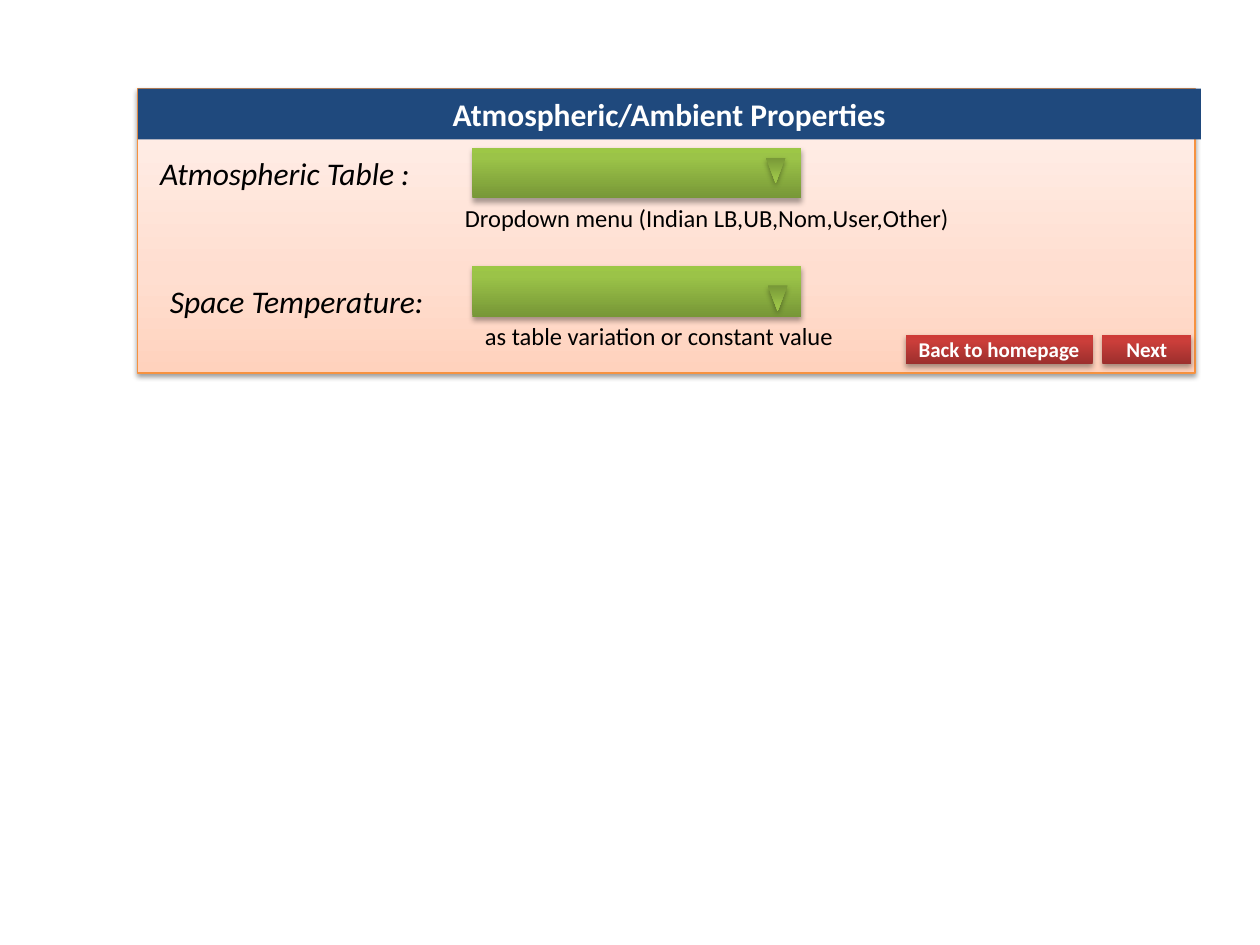
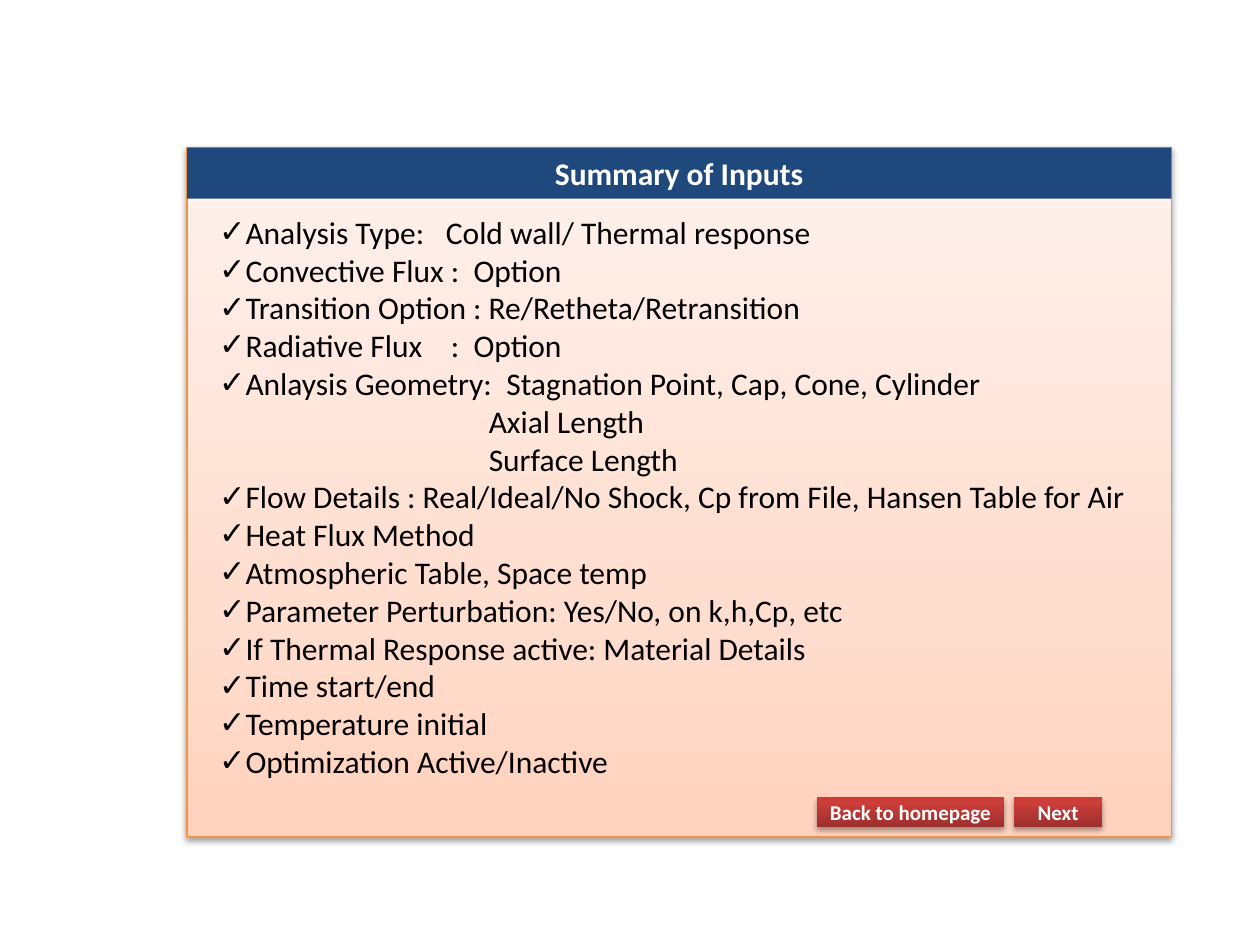
from copy import deepcopy
from dataclasses import dataclass

from lxml import etree
from pptx import Presentation
from pptx.dml.color import RGBColor
from pptx.enum.shapes import MSO_SHAPE
from pptx.enum.text import MSO_ANCHOR, MSO_AUTO_SIZE, PP_ALIGN
from pptx.oxml.ns import qn
from pptx.util import Inches, Pt

RECTANGLE = MSO_SHAPE.RECTANGLE
TRIANGLE = MSO_SHAPE.ISOSCELES_TRIANGLE
CENTER, LEFT = PP_ALIGN.CENTER, PP_ALIGN.LEFT
MIDDLE, TOP = MSO_ANCHOR.MIDDLE, MSO_ANCHOR.TOP
GROW, FIXED = MSO_AUTO_SIZE.SHAPE_TO_FIT_TEXT, MSO_AUTO_SIZE.NONE

COLUMNS, ROWS = 128, 96
BAND_ROWS = 5.17
LINE_ROWS = 4.34
BUTTON_ROWS = 3
TITLE_ONLY = 5


@dataclass(frozen=True)
class Theme:
    font: str = "Calibri"
    body_size: int = 18
    hint_size: int = 14
    button_size: int = 12
    text: str = "000000"
    light_text: str = "FFFFFF"
    band: str = "1F497D"
    panel_line: str = "F69240"
    panel: tuple = ((0, "FFD2BD"), (0.35, "FFDED0"), (1, "FFF2ED"))
    dropdown: tuple = ((0, "779737"), (0.8, "9BC348"), (1, "9DC746"))
    button: tuple = ((0, "9C2F2D"), (0.8, "CB3E3A"), (1, "CE3B37"))


class FormBuilder:
    def __init__(self, presentation, theme):
        self.presentation = presentation
        self.theme = theme
        self.slide = None

    def new_slide(self):
        layout = self.presentation.slide_layouts[TITLE_ONLY]
        self.slide = self.presentation.slides.add_slide(layout)

    def place(self, column, row, columns, rows):
        width, height = self.presentation.slide_width, self.presentation.slide_height
        return (round(width * column / COLUMNS), round(height * row / ROWS),
                round(width * columns / COLUMNS), round(height * rows / ROWS))

    def set_text(self, shape, lines, size, color, bold=False, italic=False,
                 align=LEFT, anchor=TOP):
        frame = shape.text_frame
        frame.text = "\n".join(lines)
        frame.vertical_anchor = anchor
        for paragraph in frame.paragraphs:
            paragraph.alignment = align
            for run in paragraph.runs:
                font = run.font
                font.name, font.size = self.theme.font, Pt(size)
                font.bold, font.italic = bold, italic
                font.color.rgb = RGBColor.from_string(color)
        return frame

    def gradient_shape(self, kind, box, stops, shadow_alpha=35, shadow_distance=1.8):
        shape = self.slide.shapes.add_shape(kind, *self.place(*box))
        shape.fill.gradient()
        shape.fill.gradient_angle = 90
        stop_list = shape.element.find(".//" + qn("a:gsLst"))
        stop_list.append(deepcopy(stop_list[0]))
        for stop, (position, color) in zip(shape.fill.gradient_stops, stops):
            stop.position = position
            stop.color.rgb = RGBColor.from_string(color)
        shape.line.fill.background()
        shape.shadow.inherit = False
        effects = shape.element.spPr.find(qn("a:effectLst"))
        shadow = etree.SubElement(
            effects, qn("a:outerShdw"), blurRad=str(Pt(3.1)),
            dist=str(Pt(shadow_distance)), dir="5400000", rotWithShape="0")
        color = etree.SubElement(shadow, qn("a:srgbClr"), val="000000")
        etree.SubElement(color, qn("a:alpha"), val=str(shadow_alpha * 1000))
        return shape

    def panel(self, column, row, columns, rows):
        panel = self.gradient_shape(RECTANGLE, (column, row, columns, rows),
                                    self.theme.panel, 38, 1.6)
        panel.line.color.rgb = RGBColor.from_string(self.theme.panel_line)
        panel.line.width = Pt(0.75)

    def title(self, text, column, row, columns):
        title = self.slide.shapes.title
        title.left, title.top, title.width, title.height = self.place(
            column, row, columns, BAND_ROWS)
        title.fill.solid()
        title.fill.fore_color.rgb = RGBColor.from_string(self.theme.band)
        frame = self.set_text(title, [text], self.theme.body_size,
                              self.theme.light_text, bold=True, align=CENTER)
        frame.auto_size = FIXED
        self.slide.shapes.element.append(title.element)

    def text(self, lines, box, size, italic=False, wrap=True):
        shape = self.slide.shapes.add_textbox(*self.place(*box))
        frame = self.set_text(shape, lines, size, self.theme.text, italic=italic)
        frame.word_wrap = wrap
        frame.auto_size = GROW
        return frame

    def label(self, text, column, row, columns):
        self.text([text], (column, row, columns, BAND_ROWS),
                  self.theme.body_size, italic=True)

    def hint(self, text, column, row, columns, indent=0, wrap=True):
        frame = self.text([text], (column, row, columns, LINE_ROWS),
                          self.theme.hint_size, wrap=wrap)
        self.indent(frame.paragraphs[0], indent)

    def indent(self, paragraph, inches):
        properties = paragraph._p.get_or_add_pPr()
        properties.set("marL", str(Inches(inches)))
        properties.set("indent", "0")

    def dropdown(self, column, row, arrow_column, arrow_row):
        self.gradient_shape(RECTANGLE, (column, row, 33.4, BAND_ROWS), self.theme.dropdown)
        arrow = self.gradient_shape(TRIANGLE, (arrow_column, arrow_row, 2, 2.6),
                                    self.theme.dropdown)
        arrow.rotation = 180

    def navigation(self, column, row):
        for text, offset, columns in (("Back to homepage", 0, 19), ("Next", 20, 9)):
            button = self.gradient_shape(
                RECTANGLE, (column + offset, row, columns, BUTTON_ROWS), self.theme.button)
            frame = self.set_text(button, [text], self.theme.button_size,
                                  self.theme.light_text, bold=True,
                                  align=CENTER, anchor=MIDDLE)
            frame.margin_left = frame.margin_right = 0
            frame.margin_top = frame.margin_bottom = 0

    def checklist(self, items, box):
        frame = self.text([text for text, *_ in items], box, self.theme.body_size)
        for paragraph, (_, checked, indent, tabs) in zip(frame.paragraphs, items):
            self.indent(paragraph, indent)
            properties = paragraph._p.get_or_add_pPr()
            if checked:
                etree.SubElement(properties, qn("a:buFont"), typeface=self.theme.font)
                etree.SubElement(properties, qn("a:buChar"), char="✓")
            if tabs:
                tab_list = etree.SubElement(properties, qn("a:tabLst"))
                for tab in tabs:
                    etree.SubElement(tab_list, qn("a:tab"), pos=str(Inches(tab)), algn="l")


def check(text, *tabs):
    return text, True, 0, tabs


def continuation(text):
    return text, False, 2.14, ()


SUMMARY = [
    check("Analysis Type:\tCold wall/ Thermal response", 1.8),
    check("Convective Flux :\tOption", 2.02),
    check("Transition Option : Re/Retheta/Retransition"),
    check("Radiative Flux\t:\tOption", 1.84, 2.02),
    check("Anlaysis Geometry:\tStagnation Point, Cap, Cone, Cylinder", 2.28),
    continuation("Axial Length"),
    continuation("Surface Length"),
    check("Flow Details : Real/Ideal/No Shock, Cp from File, Hansen Table for Air"),
    check("Heat Flux Method"),
    check("Atmospheric Table, Space temp"),
    check("Parameter Perturbation: Yes/No, on k,h,Cp, etc"),
    check("If Thermal Response active: Material Details"),
    check("Time start/end"),
    check("Temperature initial"),
    check("Optimization Active/Inactive"),
]


def atmospheric_slide(form):
    form.new_slide()
    form.panel(14, 9, 107.4, 28.9)
    form.title("Atmospheric/Ambient Properties", 14, 9, 108)
    form.hint("Dropdown menu (Indian LB,UB,Nom,User,Other)", 42, 20, 58, indent=0.31)
    form.label("Atmospheric Table :", 15, 15, 28)
    form.label("Space Temperature:", 16, 28, 98)
    form.dropdown(48, 15, 77.8, 16)
    form.dropdown(48, 27, 78, 29)
    form.hint("as table variation or constant value", 48, 32, 38.9, wrap=False)
    form.navigation(92, 34)


def summary_slide(form):
    form.new_slide()
    form.panel(19, 15, 100, 70)
    form.title("Summary of Inputs", 19, 15, 100)
    form.checklist(SUMMARY, (21, 21, 102, 59))
    form.navigation(83, 81)


def main():
    presentation = Presentation()
    presentation.slide_width, presentation.slide_height = Inches(10), Inches(7.5)
    form = FormBuilder(presentation, Theme())
    atmospheric_slide(form)
    summary_slide(form)
    presentation.save("out.pptx")


if __name__ == "__main__":
    main()
